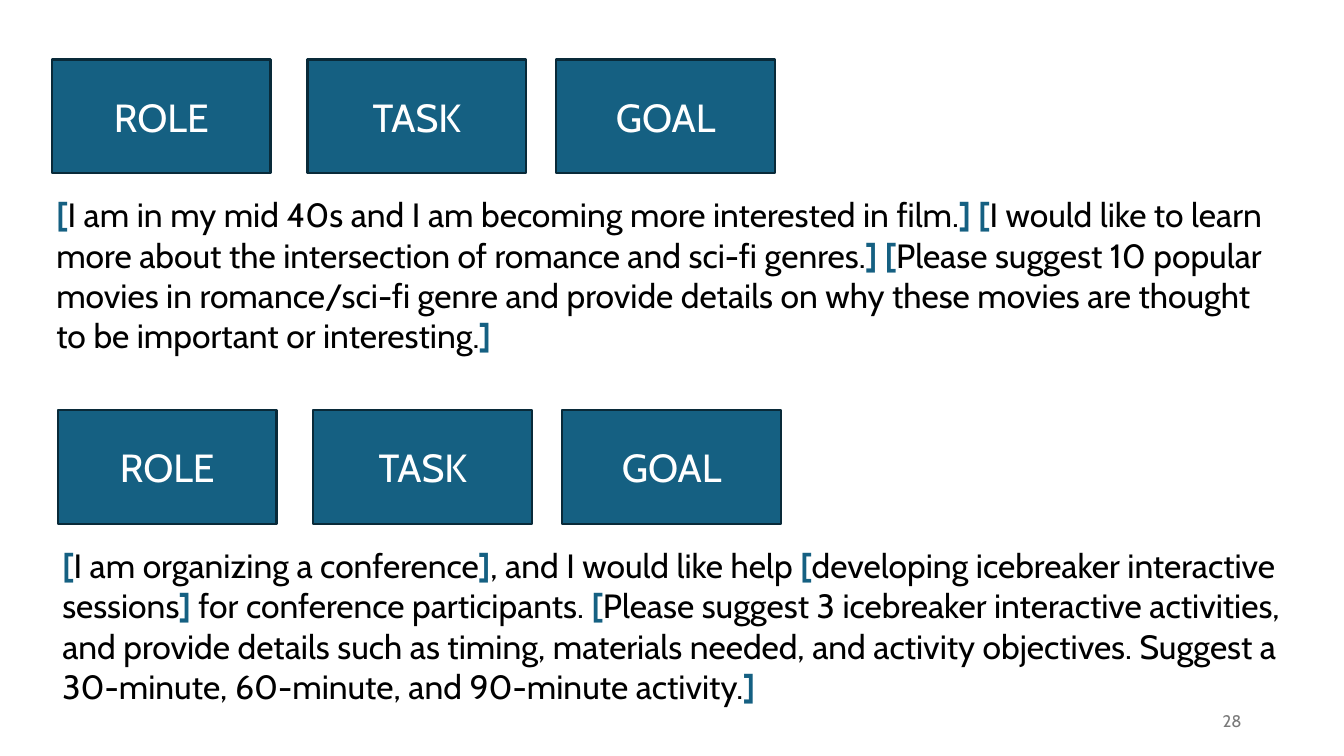
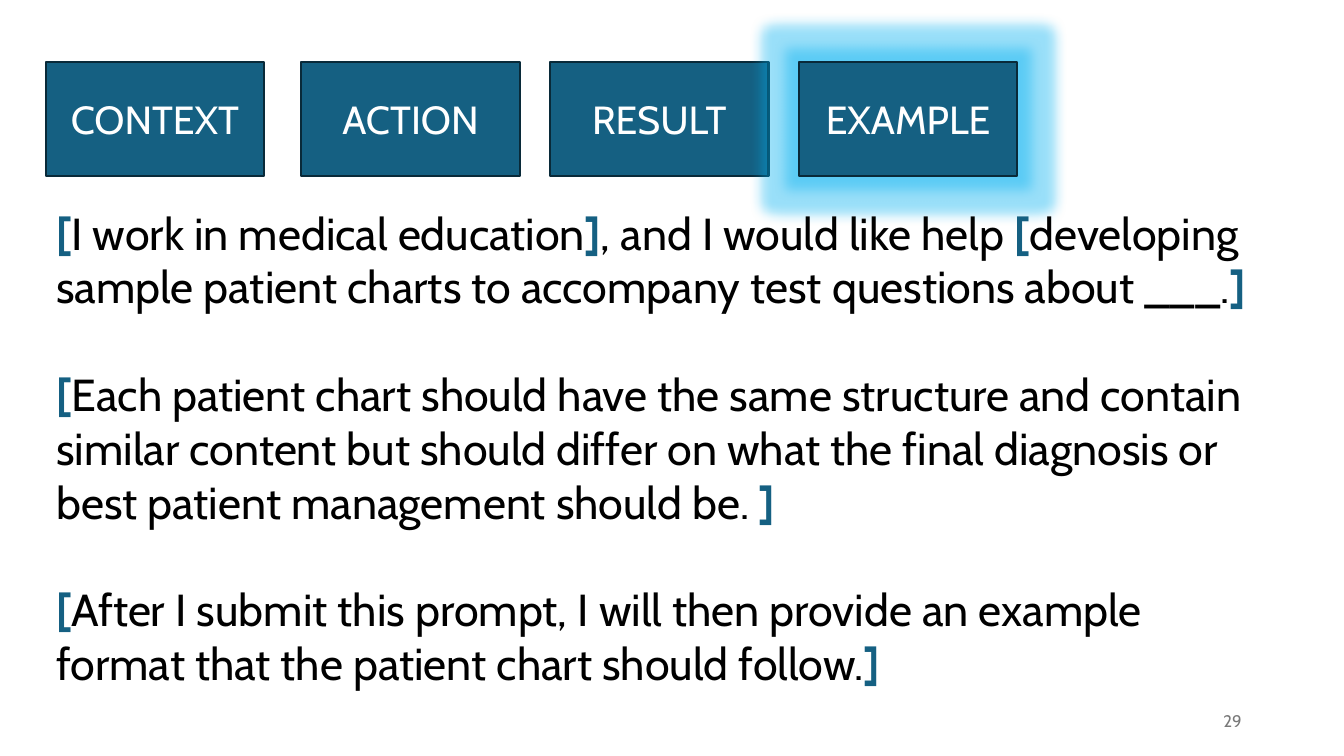
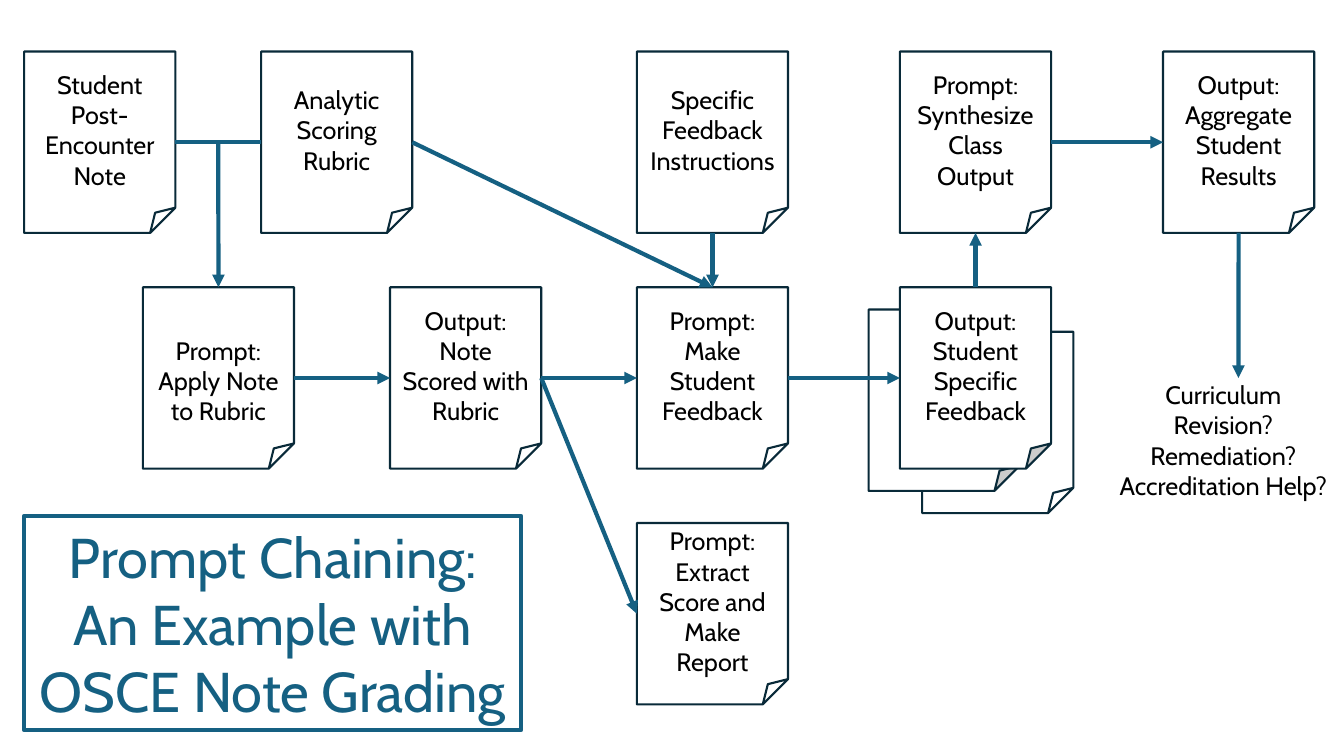
from itertools import groupby

from lxml import etree
from pptx import Presentation
from pptx.dml.color import RGBColor
from pptx.enum.shapes import MSO_CONNECTOR, MSO_SHAPE
from pptx.enum.text import MSO_ANCHOR, PP_ALIGN
from pptx.oxml.ns import qn
from pptx.util import Cm, Pt

RECT, PAGE = MSO_SHAPE.RECTANGLE, MSO_SHAPE.FOLDED_CORNER
STRAIGHT = MSO_CONNECTOR.STRAIGHT
LEFT, CENTER, RIGHT = PP_ALIGN.LEFT, PP_ALIGN.CENTER, PP_ALIGN.RIGHT
TOP_ANCHOR, MIDDLE = MSO_ANCHOR.TOP, MSO_ANCHOR.MIDDLE
TITLE_ONLY, BLANK = 5, 6
TOP, LEFT_SIDE, BOTTOM, RIGHT_SIDE = range(4)  # connection sites

FONT = "Cabin"
BLUE, NAVY, GLOW = "156082", "092A39", "00B0F0"
BLACK, WHITE, GREY = "000000", "FFFFFF", "797979"
TAG_OFFSETS = (0, 6.44, 12.71, 18.98)
PAGE_W, PAGE_H = 3.81, 4.57
ROWS = (1.3, 7.24, 13.18)


def rgb(value):
    return RGBColor.from_string(value)


class Deck:
    """Holds the presentation, its style and the current slide."""

    def __init__(self):
        self.prs = Presentation()
        self.prs.slide_width, self.prs.slide_height = Cm(33.87), Cm(19.05)
        self.s = None

    def new_slide(self, layout=BLANK):
        self.s = self.prs.slides.add_slide(self.prs.slide_layouts[layout])

    def set_text(self, tf, text, size, color, align=CENTER, anchor=MIDDLE, gap=0):
        """Fill a frame, one paragraph a line; square brackets turn bold blue."""
        tf.word_wrap = True
        tf.vertical_anchor = anchor
        for i, line in enumerate(text.split("\n")):
            p = tf.paragraphs[0] if i == 0 else tf.add_paragraph()
            p.alignment = align
            if i:
                p.space_before = Pt(gap)
            p.font.name, p.font.size = FONT, Pt(size)
            p.font.color.rgb = rgb(color)
            for bracket, chars in groupby(line, key=lambda c: c in "[]"):
                r = p.add_run()
                r.text = "".join(chars)
                if bracket:
                    r.font.bold = True
                    r.font.color.rgb = rgb(BLUE)

    def text(self, x, y, w, h, text, size, color=BLACK, **style):
        sp = self.s.shapes.add_textbox(Cm(x), Cm(y), Cm(w), Cm(h))
        self.set_text(sp.text_frame, text, size, color, **style)

    def number(self, value):
        self.text(23.92, 17.65, 7.62, 1.01, str(value), 12, GREY, align=RIGHT)

    def prompt(self, x, y, h, text, size, gap=0):
        self.text(x, y, 31.24, h, text, size, align=LEFT,
                  anchor=TOP_ANCHOR, gap=gap)

    def title(self, x, y, w, h, text):
        sp = self.s.shapes.title
        sp.left, sp.top, sp.width, sp.height = Cm(x), Cm(y), Cm(w), Cm(h)
        sp.line.color.rgb, sp.line.width = rgb(BLUE), Pt(3)
        self.set_text(sp.text_frame, text, 40, BLUE)

    def shape(self, kind, x, y, w, h, fill=None):
        sp = self.s.shapes.add_shape(kind, Cm(x), Cm(y), Cm(w), Cm(h))
        sp.shadow.inherit = False
        if fill:
            sp.fill.solid()
            sp.fill.fore_color.rgb = rgb(fill)
        else:
            sp.fill.background()
        sp.line.color.rgb, sp.line.width = rgb(NAVY), Pt(1.5)
        return sp

    def tags(self, x, y, labels):
        """Draw a row of labelled boxes and return them."""
        boxes = []
        for offset, label in zip(TAG_OFFSETS, labels):
            sp = self.shape(RECT, x + offset, y, 5.51, 2.87, BLUE)
            self.set_text(sp.text_frame, label, 28, WHITE)
            boxes.append(sp)
        return boxes

    def glow(self, sp):
        effects = sp._element.spPr.find(qn("a:effectLst"))
        glow = etree.SubElement(effects, qn("a:glow"), rad=str(Pt(18)))
        color = etree.SubElement(glow, qn("a:srgbClr"), val=GLOW)
        etree.SubElement(color, qn("a:alpha"), val="40000")

    def page(self, x, y, text="", fill=None, drop=0):
        """Draw a sheet with a folded corner; drop lowers its text."""
        sp = self.shape(PAGE, x, y, PAGE_W, PAGE_H, fill)
        if text:
            self.set_text(sp.text_frame, text, 18, BLACK)
            sp.text_frame.margin_top = Cm(0.13 + 2 * drop)
        return sp

    def link(self, start, end, arrow=True):
        """Join two ends, each an (x, y) point or a (shape, site) pair."""
        cn = self.s.shapes.add_connector(STRAIGHT, 0, 0, 0, 0)
        if isinstance(start[0], (int, float)):
            cn.begin_x, cn.begin_y = Cm(start[0]), Cm(start[1])
        else:
            cn.begin_connect(*start)
        if isinstance(end[0], (int, float)):
            cn.end_x, cn.end_y = Cm(end[0]), Cm(end[1])
        else:
            cn.end_connect(*end)
        cn.line.color.rgb, cn.line.width = rgb(BLUE), Pt(3)
        if arrow:
            etree.SubElement(cn._element.spPr.find(qn("a:ln")),
                             qn("a:tailEnd"), type="triangle")
        etree.SubElement(cn._element.spPr, qn("a:effectLst"))


def role_task_goal(deck):
    deck.new_slide()
    deck.number(28)
    examples = (
        (1.31, 1.5, "[I am in my mid 40s and I am becoming more interested in "
         "film.] [I would like to learn more about the intersection of romance "
         "and sci-fi genres.] [Please suggest 10 popular movies in "
         "romance/sci-fi genre and provide details on why these movies are "
         "thought to be important or interesting.]"),
        (1.46, 10.34, "[I am organizing a conference], and I would like help "
         "[developing icebreaker interactive sessions] for conference "
         "participants. [Please suggest 3 icebreaker interactive activities, "
         "and provide details such as timing, materials needed, and activity "
         "objectives. Suggest a 30-minute, 60-minute, and 90-minute activity.]"),
    )
    for x, y, text in examples:
        deck.tags(x, y, ("ROLE", "TASK", "GOAL"))
        deck.prompt(x - 0.14, y + 3.27, 4.36, text, 24)


def context_action_result(deck):
    deck.new_slide()
    deck.number(29)
    boxes = deck.tags(1.15, 1.57, ("CONTEXT", "ACTION", "RESULT", "EXAMPLE"))
    deck.glow(boxes[-1])
    deck.prompt(1.17, 5.05, 12.57,
                "[I work in medical education], and I would like help "
                "[developing sample patient charts to accompany test questions "
                "about ___.]\n"
                "[Each patient chart should have the same structure and contain "
                "similar content but should differ on what the final diagnosis "
                "or best patient management should be. ]\n"
                "[After I submit this prompt, I will then provide an example "
                "format that the patient chart should follow.]", 32, gap=38.4)


def prompt_chaining(deck):
    deck.new_slide(TITLE_ONLY)
    deck.title(0.61, 13, 12.52, 5.4,
               "Prompt Chaining:\nAn Example with\nOSCE Note Grading")
    first, second, third = ROWS
    deck.page(23.24, 8.36)
    deck.page(21.89, 7.8, fill=WHITE)
    note = deck.page(0.61, first, "Student\nPost-Encounter Note")
    rubric = deck.page(6.58, first, "Analytic\nScoring Rubric")
    instructions = deck.page(16.05, first, "Specific Feedback Instructions")
    synthesize = deck.page(22.68, first, "Prompt: Synthesize Class Output")
    results = deck.page(29.31, first, "Output:\nAggregate\nStudent Results")
    apply_note = deck.page(3.6, second, "Prompt:\nApply Note to Rubric", drop=0.38)
    scored = deck.page(9.83, second, "Output:\nNote Scored with Rubric")
    make = deck.page(16.05, second, "Prompt:\nMake Student Feedback")
    feedback = deck.page(22.68, second, "Output: Student Specific Feedback", WHITE)
    report = deck.page(16.05, third, "Prompt: Extract Score and Make Report")

    deck.link((note, RIGHT_SIDE), (rubric, LEFT_SIDE), arrow=False)
    deck.link((5.5, first + PAGE_H / 2), (apply_note, TOP))
    deck.link((results, BOTTOM), (31.21, second + PAGE_H / 2))
    for start, site, end, end_site in (
        (apply_note, RIGHT_SIDE, scored, LEFT_SIDE),
        (scored, RIGHT_SIDE, make, LEFT_SIDE),
        (scored, RIGHT_SIDE, report, LEFT_SIDE),
        (instructions, BOTTOM, make, TOP),
        (rubric, RIGHT_SIDE, make, TOP),
        (make, RIGHT_SIDE, feedback, LEFT_SIDE),
        (feedback, TOP, synthesize, BOTTOM),
        (synthesize, RIGHT_SIDE, results, LEFT_SIDE),
    ):
        deck.link((start, site), (end, end_site))
    deck.text(27.8, 9.8, 6.06, 2.57,
              "Curriculum Revision?\nRemediation?\nAccreditation Help?", 18)


def main():
    deck = Deck()
    role_task_goal(deck)
    context_action_result(deck)
    prompt_chaining(deck)
    deck.prs.save("out.pptx")


if __name__ == "__main__":
    main()
